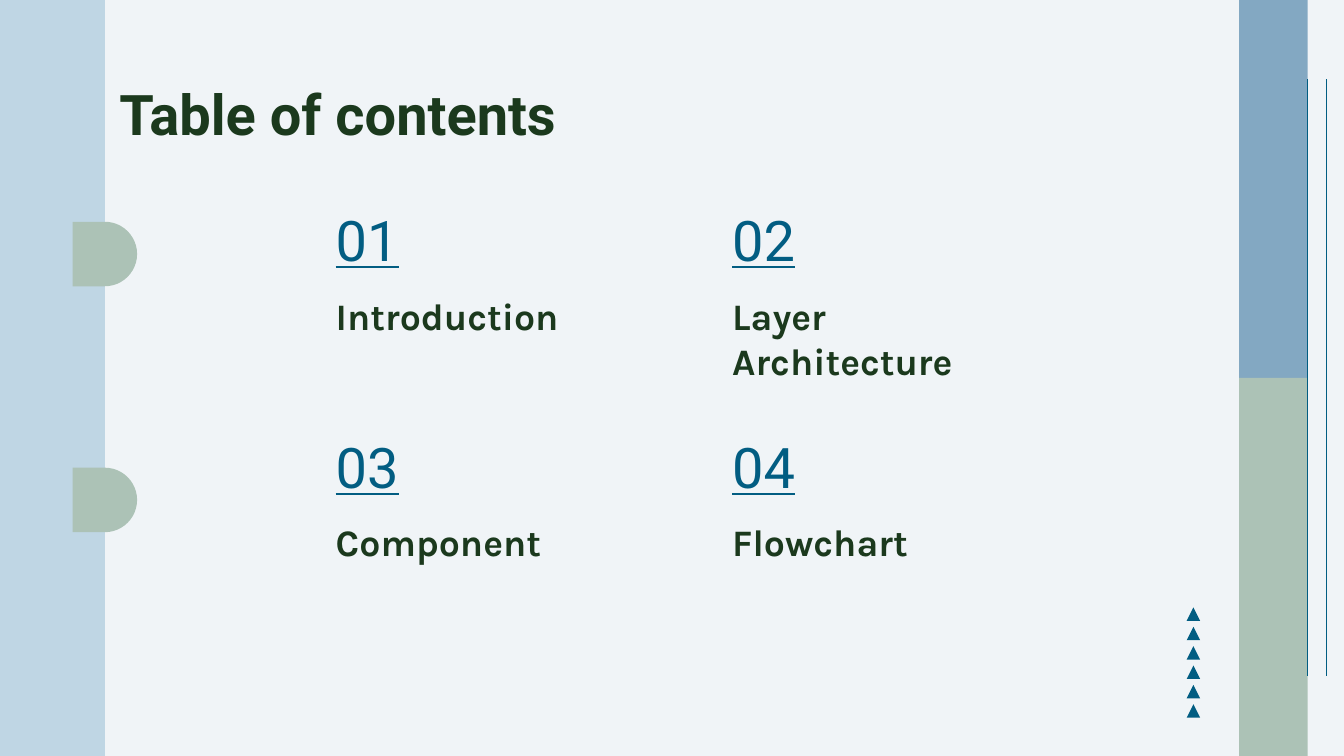
from lxml import etree
from pptx import Presentation
from pptx.dml.color import RGBColor
from pptx.enum import shapes, text
from pptx.oxml.ns import qn
from pptx.util import Inches, Pt

COLORS = {
    "background": "F0F4F7",
    "pale_blue": "BFD6E4",
    "mid_blue": "83A8C2",
    "sage": "ACC2B6",
    "accent": "025D82",
    "ink": "1B391D",
}
KINDS = shapes.MSO_SHAPE
ANCHORS = text.MSO_ANCHOR
WIDTH = 10
HEIGHT = WIDTH * 9 / 16


def add_block(kind, left, top, width, height, color):
    """Add a filled preset shape without outline or shadow."""
    block = slide.shapes.add_shape(
        kind, Inches(left), Inches(top), Inches(width), Inches(height))
    block.shadow.inherit = False
    block.fill.solid()
    block.fill.fore_color.rgb = RGBColor.from_string(COLORS[color])
    block.line.fill.background()


def add_label(words, left, top, width, height, font, size, color, anchor=ANCHORS.TOP):
    """Add a one-paragraph text box and return its font for further styling."""
    box = slide.shapes.add_textbox(
        Inches(left), Inches(top), Inches(width), Inches(height))
    frame = box.text_frame
    frame.text = words
    frame.word_wrap = True
    frame.vertical_anchor = anchor
    frame.margin_left = frame.margin_right = Inches(0.1)
    frame.margin_top = frame.margin_bottom = Inches(0.1)
    style = frame.paragraphs[0].runs[0].font
    style.name = font
    style.size = Pt(size)
    style.color.rgb = RGBColor.from_string(COLORS[color])
    return style


deck = Presentation()
deck.slide_width, deck.slide_height = Inches(WIDTH), Inches(HEIGHT)
slide = deck.slides.add_slide(deck.slide_layouts[6])
slide.background.fill.solid()
slide.background.fill.fore_color.rgb = RGBColor.from_string(COLORS["background"])

# Side bands
add_block(KINDS.RECTANGLE, 0, 0, 0.78, HEIGHT, "pale_blue")
add_block(KINDS.RECTANGLE, 9.22, 0, 0.51, HEIGHT / 2, "mid_blue")
add_block(KINDS.RECTANGLE, 9.22, HEIGHT / 2, 0.51, HEIGHT / 2, "sage")

# Vertical rules beside the right band
for x in (9.73, 9.87):
    rule = slide.shapes.add_connector(
        shapes.MSO_CONNECTOR.STRAIGHT, Inches(x), Inches(0.59), Inches(x), Inches(5.03))
    rule.line.color.rgb = RGBColor.from_string(COLORS["accent"])
    rule.line.width = Pt(0.75)
    etree.SubElement(rule._element.spPr, qn("a:effectLst"))

# Title
add_label("Table of contents", 0.79, 0.49, 8.43, 0.63, "Roboto", 30, "ink").bold = True

# Numbered topics in a two-column grid
topics = ["Introduction", "Layer Architecture", "Component", "Flowchart"]
for index, topic in enumerate(topics):
    row, column = divmod(index, 2)
    left = 2.4 + column * 2.95
    number = add_label(f"{index + 1:02d}", left, 1.5 + row * 1.69, 0.8, 0.63,
                       "Roboto", 30, "accent", ANCHORS.BOTTOM)
    number.underline = True
    add_label(topic, left, 2.08 + row * 1.68, 2.24, 0.82, "Karla", 20, "ink").bold = True

# Column of small triangles
for step in range(6):
    add_block(KINDS.ISOSCELES_TRIANGLE, 8.83, 4.52 + step * 0.72 / 5, 0.1, 0.1, "accent")

# Tabs on the left band
for top in (1.65, 3.48):
    add_block(KINDS.FLOWCHART_DELAY, 0.54, top, 0.48, 0.48, "sage")

deck.save("out.pptx")
